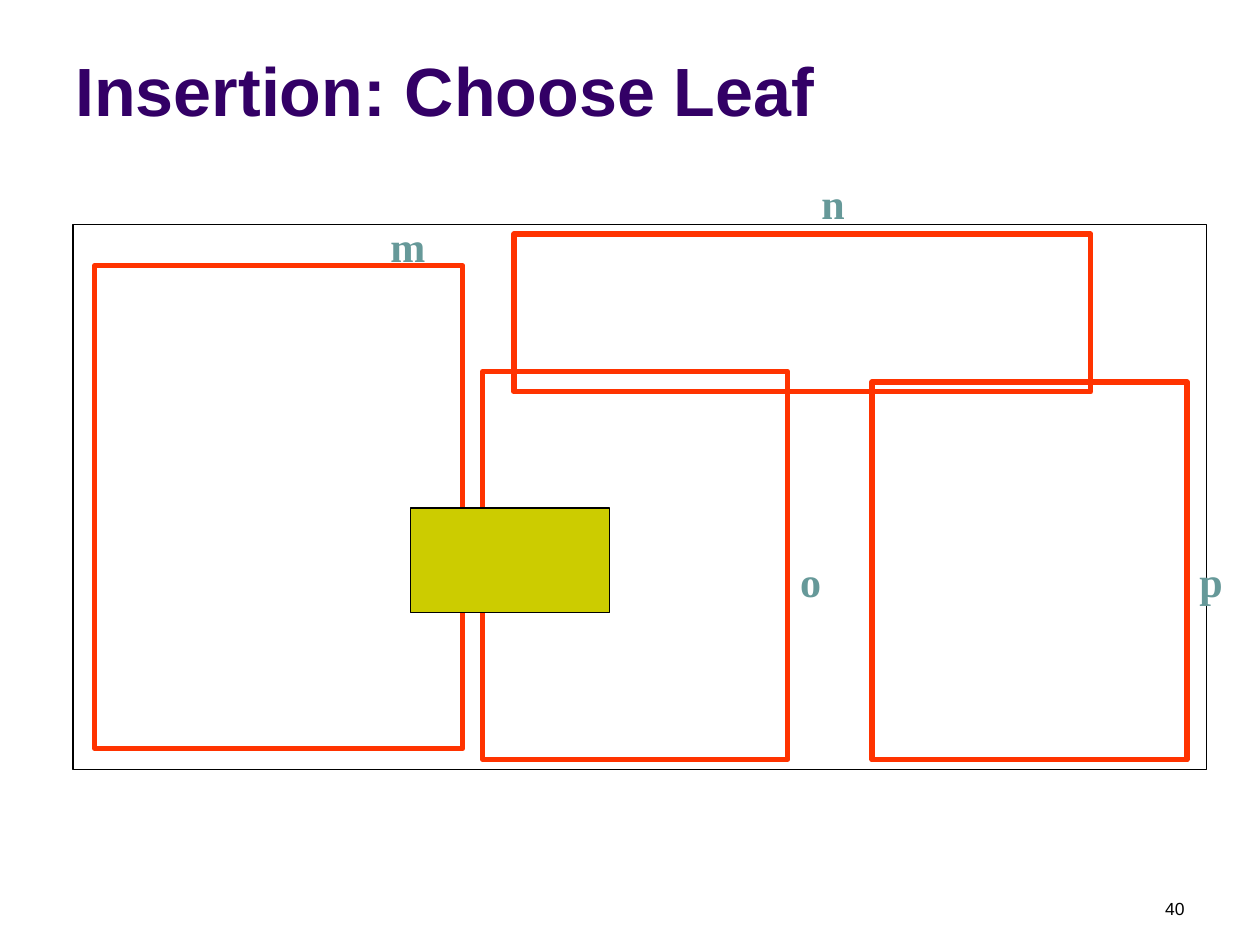
from dataclasses import dataclass

from pptx import Presentation
from pptx.dml.color import RGBColor
from pptx.enum.shapes import MSO_SHAPE
from pptx.enum.text import MSO_ANCHOR, PP_ALIGN
from pptx.util import Cm, Pt


@dataclass(frozen=True)
class Theme:
    title: str = "330066"
    label: str = "669999"
    region: str = "FF3300"
    entry: str = "CCCC00"
    ink: str = "000000"
    sans: str = "Arial"
    serif: str = "Times New Roman"
    title_size: int = 39
    label_size: int = 24
    number_size: int = 10
    thin: float = 0.75
    thick: float = 3


def write(tf, text, *, font, size, color, bold=False,
          align=PP_ALIGN.LEFT, anchor=MSO_ANCHOR.TOP):
    tf.word_wrap = True
    tf.vertical_anchor = anchor
    p = tf.paragraphs[0]
    p.alignment = align
    r = p.add_run()
    r.text = text
    r.font.name = font
    r.font.size = Pt(size)
    r.font.bold = bold
    r.font.color.rgb = RGBColor.from_string(color)


class SlideBuilder:
    def __init__(self, slide, theme):
        self.s = slide
        self.theme = theme

    def group(self):
        return self.s.shapes.add_group_shape()

    def rect(self, box, line, width, fill=None, parent=None):
        shapes = (parent or self.s).shapes
        sp = shapes.add_shape(MSO_SHAPE.RECTANGLE, *map(Cm, box))
        sp.shadow.inherit = False
        if fill:
            sp.fill.solid()
            sp.fill.fore_color.rgb = RGBColor.from_string(fill)
        else:
            sp.fill.background()
        sp.line.color.rgb = RGBColor.from_string(line)
        sp.line.width = Pt(width)

    def text(self, box, text, parent=None, **style):
        sp = (parent or self.s).shapes.add_textbox(*map(Cm, box))
        write(sp.text_frame, text, **style)

    def region(self, box, name, label_at, parent):
        t = self.theme
        self.rect(box, t.region, t.thick, parent=parent)
        self.text((*label_at, 0.66, 1.27), name, parent, font=t.serif,
                  size=t.label_size, color=t.label, bold=True,
                  anchor=MSO_ANCHOR.BOTTOM)


REGIONS = [
    ("m", (1.91, 5.36, 7.42, 9.73), (7.62, 4.32)),
    ("n", (10.36, 4.72, 11.63, 3.18), (16.31, 3.45)),
    ("o", (9.73, 7.49, 6.15, 7.82), (15.88, 11.07)),
    ("p", (17.58, 7.7, 6.35, 7.62), (23.93, 11.07)),
]


def main():
    prs = Presentation()
    prs.slide_width, prs.slide_height = Cm(25.4), Cm(19.05)
    t = Theme()
    b = SlideBuilder(prs.slides.add_slide(prs.slide_layouts[6]), t)

    b.text((1.27, 0.33, 22.86, 2.41), "Insertion: Choose Leaf", font=t.sans,
           size=t.title_size, color=t.title, bold=True,
           anchor=MSO_ANCHOR.BOTTOM)

    tree = b.group()
    b.rect((1.47, 4.52, 22.86, 11), t.ink, t.thin, parent=tree)
    for name, box, label_at in REGIONS:
        b.region(box, name, label_at, tree)

    b.rect((8.28, 10.24, 4.01, 2.11), t.ink, t.thin, fill=t.entry)
    b.text((18.21, 17.98, 5.92, 0.64), "40", font=t.sans,
           size=t.number_size, color=t.ink, align=PP_ALIGN.RIGHT)

    prs.save("out.pptx")


if __name__ == "__main__":
    main()
